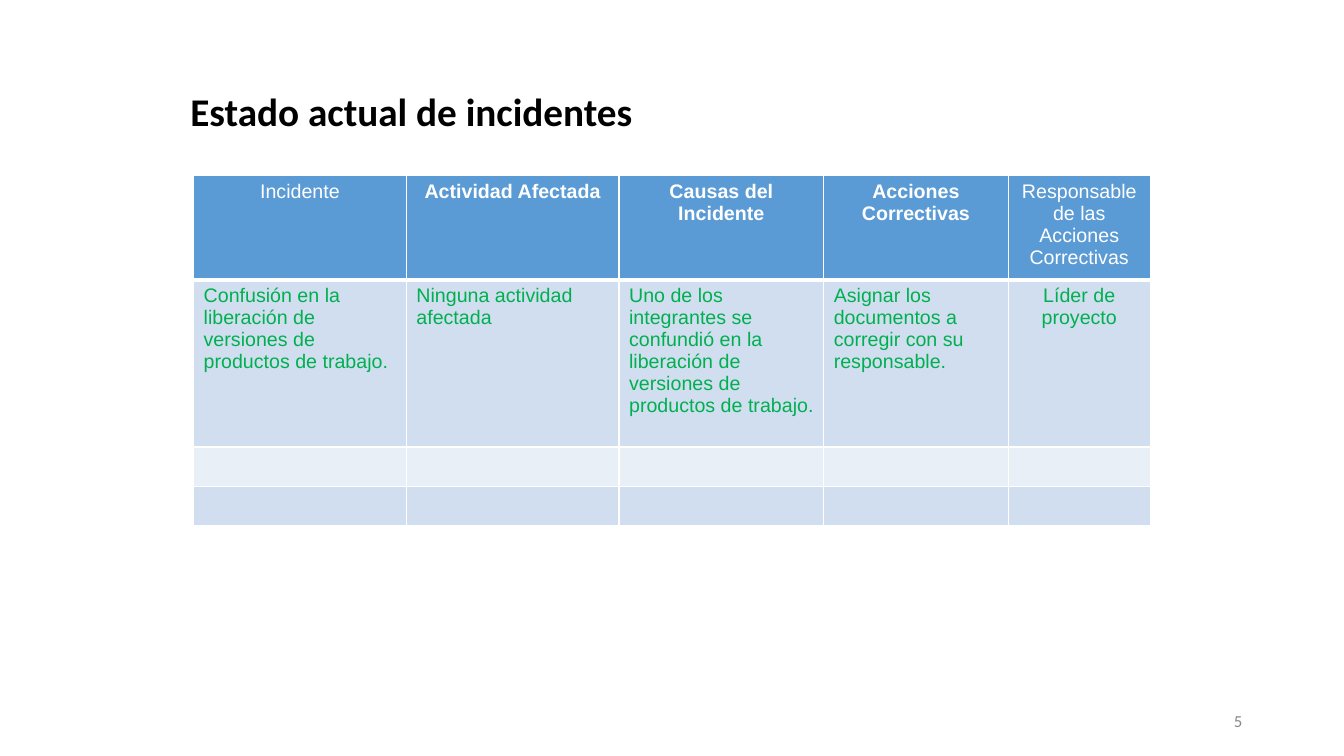
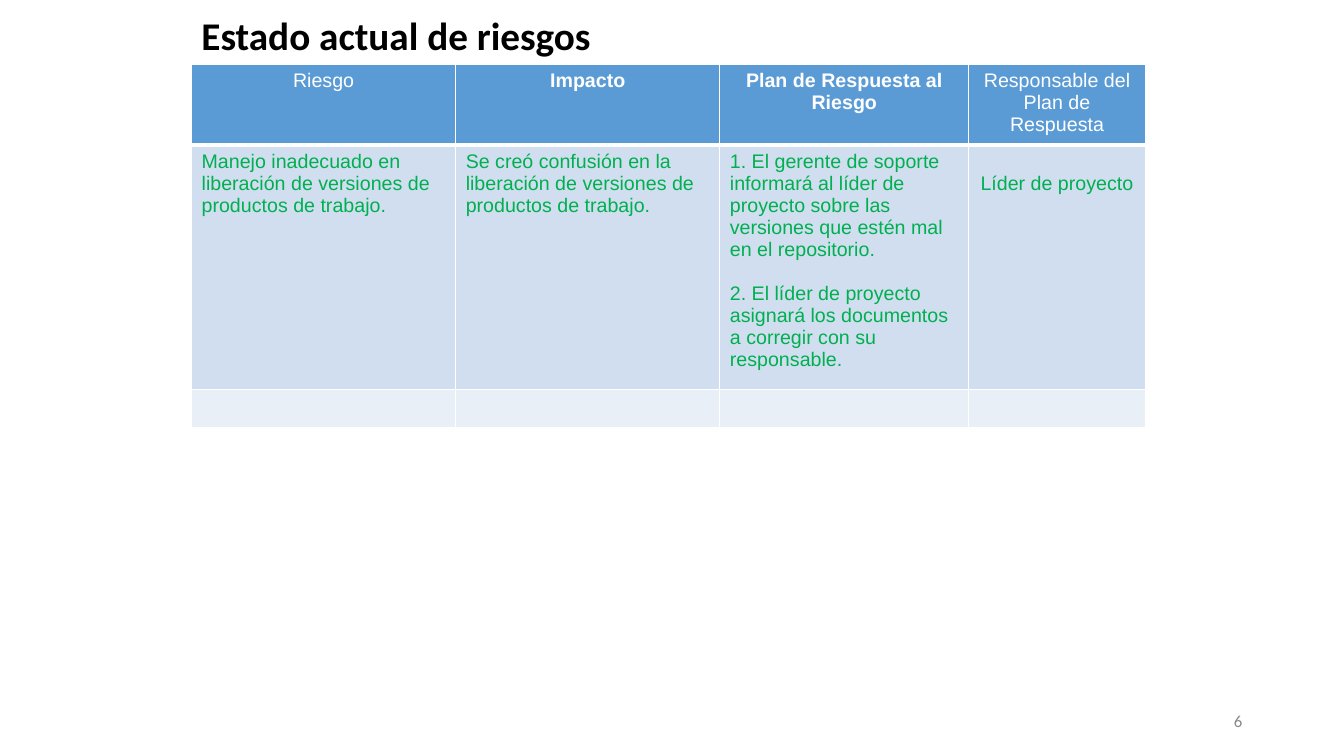
from lxml.etree import SubElement as Sub
from pptx import Presentation
from pptx.dml.color import RGBColor as RGB
from pptx.enum.text import MSO_ANCHOR as Anchor, PP_ALIGN as Align
from pptx.oxml.ns import qn
from pptx.util import Inches, Pt

COLORS = {
    "title": "000000", "page": "888888", "head": "5B9BD5", "label": "FFFFFF",
    "line": "FFFFFF", "body": "00B050", "odd": "D0DEEF", "even": "E9EFF7",
}
LEFT, MID, RIGHT = Align.LEFT, Align.CENTER, Align.RIGHT


# Text
def add_run(par, text, color, size=14, font="Arial", bold=False):
    run = par.add_run()
    run.text = text
    run.font.name = font
    run.font.size = Pt(size)
    run.font.bold = bold
    run.font.color.rgb = RGB.from_string(COLORS[color])


def add_text(slide, box, text, color, size, align=LEFT, bold=False):
    frame = slide.shapes.add_textbox(*map(Inches, box)).text_frame
    frame.word_wrap = True
    frame.vertical_anchor = Anchor.MIDDLE
    par = frame.paragraphs[0]
    par.alignment = align
    add_run(par, text, color, size, "Calibri", bold)


# Table cells
def set_lines(cell, row):
    props = cell._tc.get_or_add_tcPr()
    top = 3 if row == 1 else 1
    base = 3 if row == 0 else 1
    for side, width in (("L", 1), ("R", 1), ("T", top), ("B", base)):
        line = Sub(props, qn(f"a:ln{side}"), w=str(Pt(width)))
        fill = Sub(line, qn("a:solidFill"))
        Sub(fill, qn("a:srgbClr"), val=COLORS["line"])


def set_cell(cell, row, items, align, bold):
    set_lines(cell, row)
    shade = "head" if row == 0 else "odd" if row % 2 else "even"
    cell.fill.solid()
    cell.fill.fore_color.rgb = RGB.from_string(COLORS[shade])
    frame = cell.text_frame
    if not items:
        Sub(frame.paragraphs[0]._p, qn("a:endParaRPr"), sz="1400")
    for i, text in enumerate(items):
        par = frame.add_paragraph() if i else frame.paragraphs[0]
        par.alignment = align
        if i:
            par.space_before = Pt(16)
        add_run(par, text, "body" if row else "label", bold=bold)


def add_grid(slide, left, top, cols, rows, heads, body):
    count = len(cols)
    shape = slide.shapes.add_table(
        len(rows), count, Inches(left), Inches(top),
        Inches(sum(cols)), Inches(sum(rows)))
    table = shape.table
    table.horz_banding = False
    for col, width in zip(table.columns, cols):
        col.width = Inches(width)
    for row, height in zip(table.rows, rows):
        row.height = Inches(height)
    texts = [[[head] for head in heads], body]
    for r in range(len(rows)):
        for c in range(count):
            items = texts[r][c] if r < len(texts) else []
            # Only the inner headings are bold
            bold = r == 0 and 0 < c < count - 1
            align = MID if r == 0 or c == count - 1 else LEFT
            set_cell(table.cell(r, c), r, items, align, bold)
    return table


# Parts that the slides share
def add_page(prs, title, left, top, number):
    slide = prs.slides.add_slide(prs.slide_layouts[6])
    add_text(slide, (left, top, 8.5, 0.39), title, "title", 28, bold=True)
    add_text(slide, (9.42, 6.95, 3, 0.4), number, "page", 12, RIGHT)
    return slide


def main():
    prs = Presentation()
    prs.slide_width, prs.slide_height = Inches(13.33), Inches(7.5)

    # Incidents
    slide = add_page(prs, "Estado actual de incidentes", 1.79, 0.9, "5")
    table = add_grid(
        slide, 1.92, 1.74, [2.11, 2.11, 2.03, 1.83, 1.41],
        [0.96, 1.66, 0.39, 0.39],
        ["Incidente", "Actividad Afectada", "Causas del Incidente",
         "Acciones Correctivas", "Responsable de las Acciones Correctivas"],
        [["Confusión en la liberación de versiones de productos de trabajo."],
         ["Ninguna actividad afectada"],
         ["Uno de los integrantes se confundió en la liberación de "
          "versiones de productos de trabajo."],
         ["Asignar los documentos a corregir con su responsable."],
         ["Líder de proyecto"]])
    table.cell(1, 2).margin_right = 0

    # Risks
    slide = add_page(prs, "Estado actual de riesgos", 1.9, 0.15, "6")
    table = add_grid(
        slide, 1.9, 0.64, [2.62, 2.62, 2.47, 1.75], [0.75, 2.4, 0.38],
        ["Riesgo", "Impacto", "Plan de Respuesta al Riesgo",
         "Responsable del Plan de Respuesta"],
        [["Manejo inadecuado en liberación de versiones de productos "
          "de trabajo."],
         ["Se creó confusión en la liberación de versiones de productos "
          "de trabajo."],
         ["1. El gerente de soporte informará al líder de proyecto sobre "
          "las versiones que estén mal en el repositorio.",
          "2. El líder de proyecto asignará los documentos a corregir con "
          "su responsable."],
         ["Líder de proyecto"]])
    table.cell(1, 3).margin_top = Inches(0.27)

    prs.save("out.pptx")


if __name__ == "__main__":
    main()
